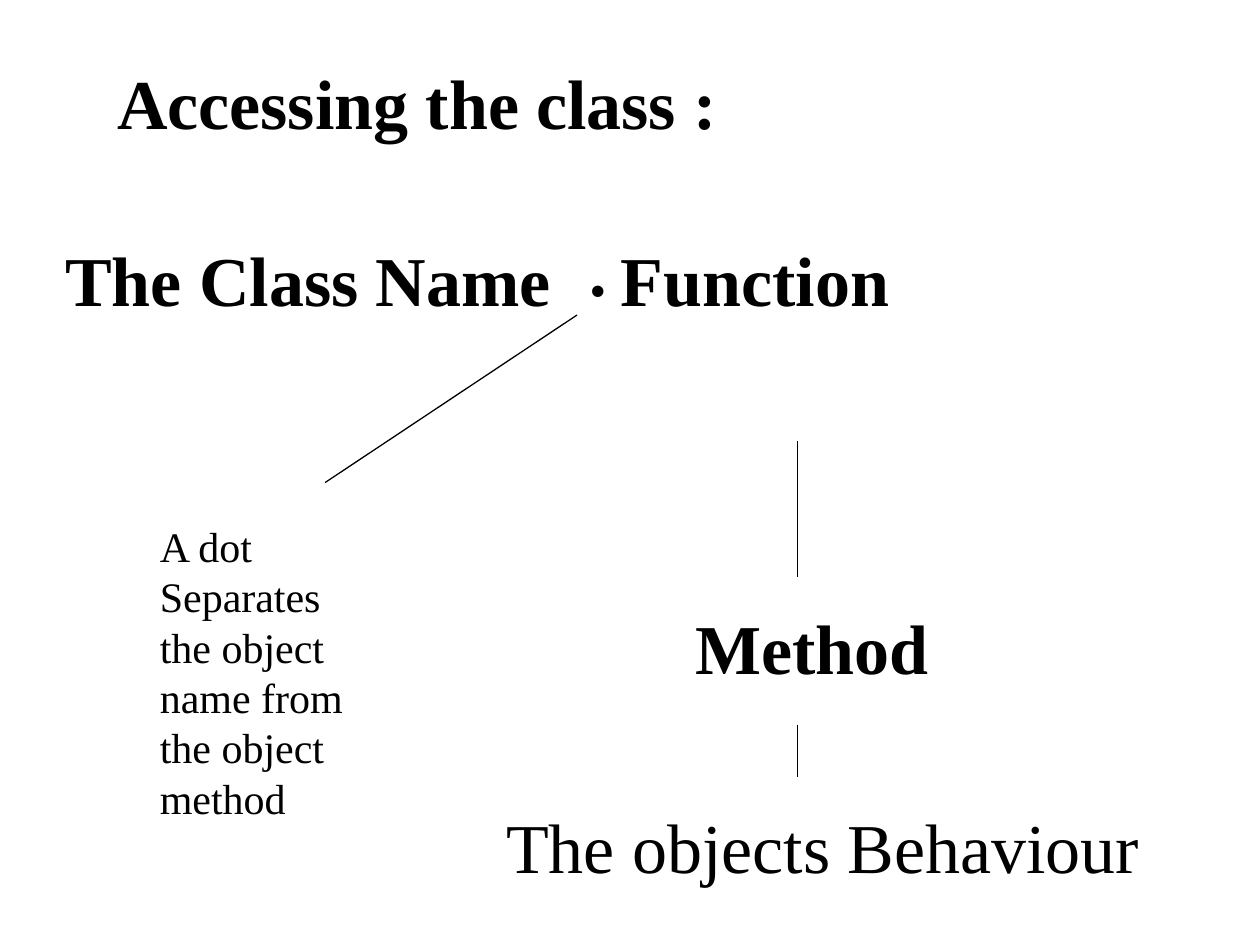
from dataclasses import dataclass

from lxml import etree
from pptx import Presentation
from pptx.dml.color import RGBColor
from pptx.enum import shapes, text
from pptx.oxml.ns import qn
from pptx.util import Inches, Pt


@dataclass(frozen=True)
class Theme:
    font: str = "Times New Roman"
    ink: RGBColor = RGBColor(0, 0, 0)
    paper: RGBColor = RGBColor(255, 255, 255)
    large: int = 40
    small: int = 24
    rule: float = 0.75


THEME = Theme()


def write(shape, wording, size=THEME.large, bold=False):
    frame = shape.text_frame
    frame.word_wrap = True
    frame.auto_size = text.MSO_AUTO_SIZE.SHAPE_TO_FIT_TEXT
    frame.vertical_anchor = text.MSO_ANCHOR.TOP
    frame.margin_left = frame.margin_right = Inches(0.1)
    frame.margin_top = frame.margin_bottom = Inches(0.05)
    para = frame.paragraphs[0]
    para.alignment = text.PP_ALIGN.LEFT
    para.line_spacing = 1.0
    span = para.add_run()
    span.text = wording
    span.font.name = THEME.font
    span.font.size = Pt(size)
    span.font.bold = bold
    span.font.color.rgb = THEME.ink


def add_label(page, wording, left, top, width, height=0.77, **style):
    box = page.shapes.add_textbox(*map(Inches, (left, top, width, height)))
    write(box, wording, **style)


def add_line(page, *ends):
    line = page.shapes.add_connector(
        shapes.MSO_CONNECTOR.STRAIGHT, *map(Inches, ends))
    line.line.color.rgb = THEME.ink
    line.line.width = Pt(THEME.rule)
    etree.SubElement(line._element.spPr, qn("a:effectLst"))


def place_title(page, left, top, width, height):
    title = page.shapes.title
    title.left, title.top, title.width, title.height = map(
        Inches, (left, top, width, height))
    write(title, "Accessing the class :", bold=True)


def place_expression(page, left, top):
    """Place the class name, the dot and the function in one row."""
    add_label(page, "The Class Name", left, top, 4.17, bold=True)
    add_label(page, ".", left + 4.16, top - 0.08, 0.33, bold=True)
    add_label(page, "Function", left + 4.41, top, 4.75, bold=True)


def place_dot_note(page, left, top, width, height):
    add_line(page, left + 3.41, top - 1.58, left + 1.41, top - 0.25)
    add_label(page, "A dot Separates the object name from the object method",
              left, top, width, height, size=THEME.small)


def place_method_chain(page, left, top, width):
    """Place the method and the behaviour below it, each led by a line."""
    axis = left + 2.41
    add_line(page, axis, top, axis, top + 1.08)
    add_label(page, "Method", left + 1.5, top + 1.25, 2.08, bold=True)
    add_line(page, axis, top + 2.25, axis, top + 2.67)
    add_label(page, "The objects Behaviour", left, top + 2.83, width)


def main():
    deck = Presentation()
    deck.slide_width, deck.slide_height = Inches(10), Inches(7.5)
    page = deck.slides.add_slide(deck.slide_layouts.get_by_name("Title Only"))
    page.background.fill.solid()
    page.background.fill.fore_color.rgb = THEME.paper
    place_title(page, 0.83, 0.42, 5.08, 0.77)
    place_expression(page, 0.42, 1.83)
    place_method_chain(page, 3.92, 3.5, 5.33)
    place_dot_note(page, 1.17, 4.08, 1.75, 2.5)
    deck.save("out.pptx")


if __name__ == "__main__":
    main()
